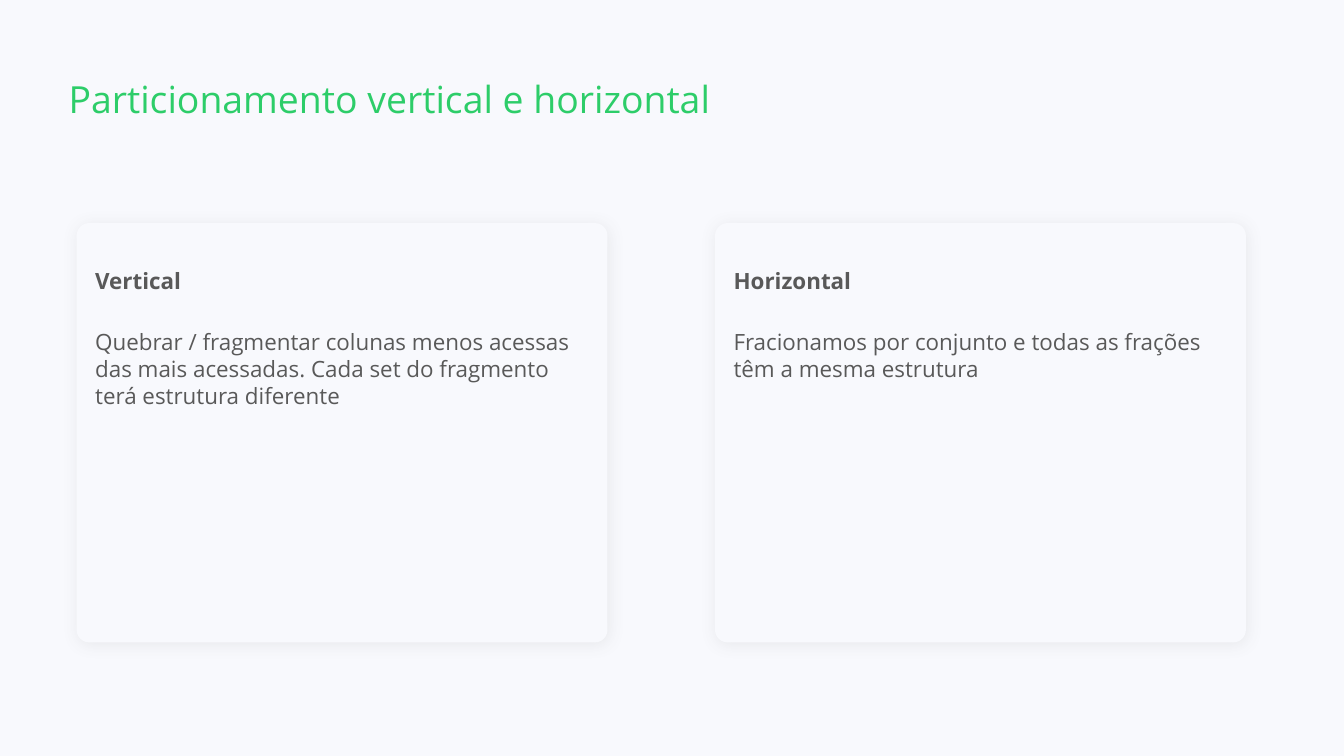
from lxml import etree
from pptx import Presentation
from pptx.dml.color import RGBColor
from pptx.enum.shapes import MSO_SHAPE
from pptx.enum.text import MSO_ANCHOR, MSO_AUTO_SIZE, PP_ALIGN
from pptx.oxml.ns import qn
from pptx.util import Inches, Pt

TITLE = "Particionamento vertical e horizontal"
CARDS = [
    ("Vertical", ["Quebrar / fragmentar colunas menos acessas",
                  "das mais acessadas. Cada set do fragmento terá estrutura diferente"]),
    ("Horizontal", ["Fracionamos por conjunto e todas as frações têm a mesma estrutura"]),
]
COLORS = {"background": "F8F9FD", "text": "595959", "title": "2DCD69"}
FONT = "Open Sans"
LINE_H = 0.2
CARD_LEFT, CARD_TOP, CARD_W, CARD_H = 0.57, 1.66, 3.95, 3.12
CARD_STEP = 4.75
TEXT_INDENT = 0.04


def rgb(name):
    return RGBColor.from_string(COLORS[name])


def style(tf, size, color, bold=False):
    for p in tf.paragraphs:
        p.alignment = PP_ALIGN.LEFT
        for r in p.runs:
            r.font.name = FONT
            r.font.size = Pt(size)
            r.font.bold = bold
            r.font.color.rgb = rgb(color)


def add_soft_shadow(s):
    s.shadow.inherit = False
    effects = s._element.spPr.find(qn("a:effectLst"))
    shadow = etree.SubElement(effects, qn("a:outerShdw"), blurRad=str(Pt(9)),
                              dist=str(Pt(1.5)), dir=str(63 * 60000),
                              algn="bl", rotWithShape="0")
    color = etree.SubElement(shadow, qn("a:srgbClr"), val=COLORS["text"])
    etree.SubElement(color, qn("a:alpha"), val="9000")


def add_text(slide, left, top, width, lines, bold=False):
    height = LINE_H + LINE_H * (len(lines) + (not bold))
    box = slide.shapes.add_textbox(Inches(left), Inches(top), Inches(width), Inches(height))
    tf = box.text_frame
    tf.word_wrap = True
    tf.auto_size = MSO_AUTO_SIZE.SHAPE_TO_FIT_TEXT
    tf.margin_left = tf.margin_right = tf.margin_top = tf.margin_bottom = Inches(0.1)
    tf.text = "\n".join(lines)
    style(tf, 12, "text", bold)


def add_card(slide, left, heading, lines):
    s = slide.shapes.add_shape(MSO_SHAPE.ROUNDED_RECTANGLE, Inches(left), Inches(CARD_TOP),
                               Inches(CARD_W), Inches(CARD_H))
    s.adjustments[0] = 0.03
    s.fill.solid()
    s.fill.fore_color.rgb = rgb("background")
    s.line.fill.background()
    add_soft_shadow(s)
    add_text(slide, left + TEXT_INDENT, 1.89, 3.75, [heading], bold=True)
    add_text(slide, left + TEXT_INDENT, 2.34, 3.83, lines)


def add_title(slide):
    title = slide.shapes.title
    title.left, title.top, title.width, title.height = map(Inches, (0.51, 0.57, 7.58, 0.34))
    tf = title.text_frame
    tf.margin_left = tf.margin_right = tf.margin_top = tf.margin_bottom = 0
    tf.vertical_anchor = MSO_ANCHOR.TOP
    tf.auto_size = MSO_AUTO_SIZE.SHAPE_TO_FIT_TEXT
    tf.text = TITLE
    style(tf, 20, "title")


def main():
    prs = Presentation()
    prs.slide_width = Inches(10)
    prs.slide_height = prs.slide_width * 9 // 16
    slide = prs.slides.add_slide(prs.slide_layouts.get_by_name("Title Only"))
    slide.background.fill.solid()
    slide.background.fill.fore_color.rgb = rgb("background")
    add_title(slide)
    for i, (heading, lines) in enumerate(CARDS):
        add_card(slide, CARD_LEFT + i * CARD_STEP, heading, lines)
    prs.save("out.pptx")


if __name__ == "__main__":
    main()
